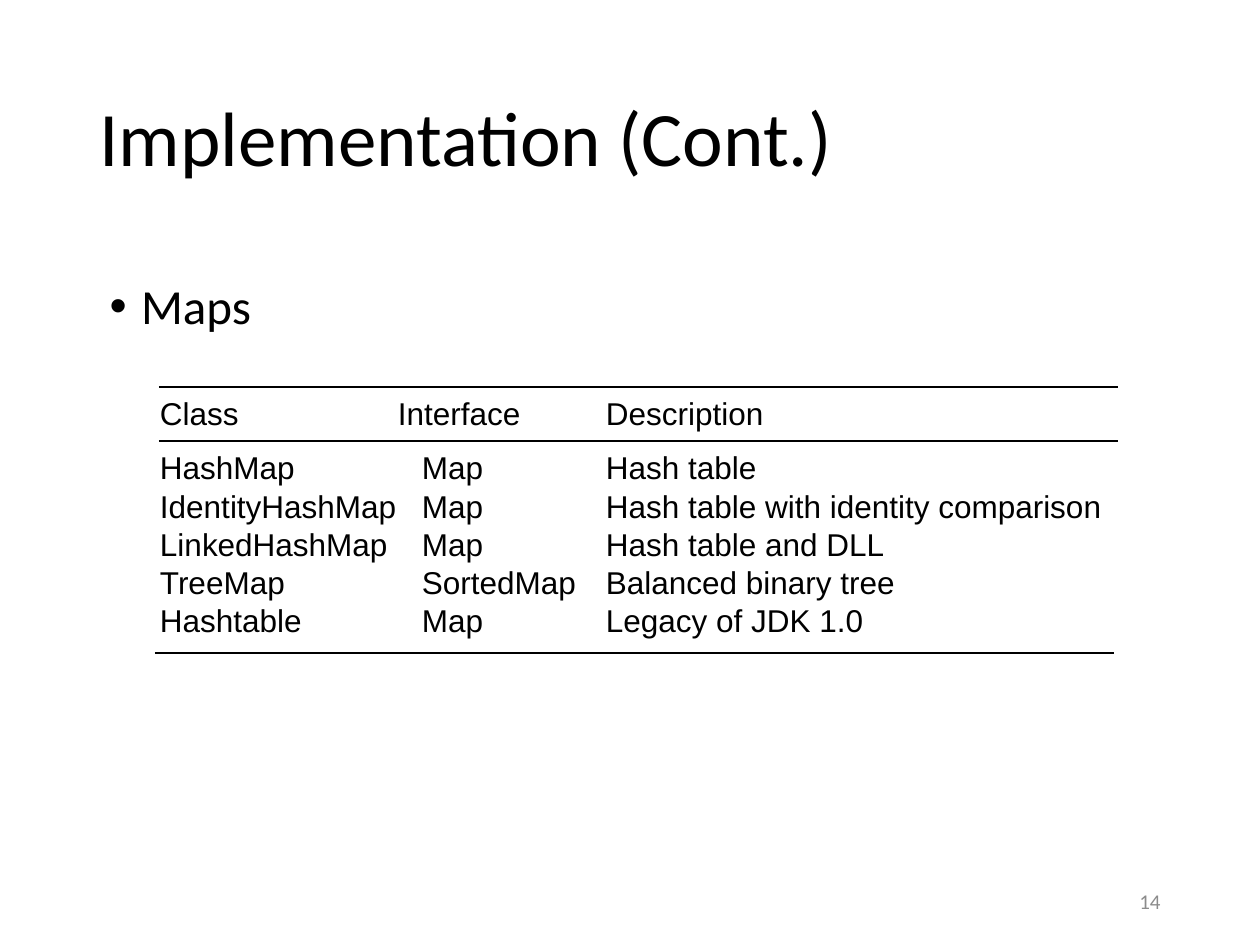
from dataclasses import dataclass
from lxml.etree import SubElement
from pptx import Presentation
from pptx.dml.color import RGBColor
from pptx.enum.shapes import MSO_CONNECTOR
from pptx.enum.text import MSO_ANCHOR, PP_ALIGN
from pptx.oxml.ns import qn
from pptx.util import Pt

PX = 914400 // 126
PLAIN = "{2D5ABB26-0587-4C30-8999-92F81FD0307C}"


@dataclass(frozen=True)
class Theme:
    ink: str = "000000"
    gray: str = "8C8C8C"
    text: str = "Calibri"
    grid: str = "Arial"
    title: int = 44
    body: int = 28
    cell: int = 18
    foot: int = 12
    rule: float = 0.75


THEME = Theme()
ROWS = [
    ("Class", "Interface", "Description"),
    ("HashMap", "Map", "Hash table"),
    ("IdentityHashMap", "Map", "Hash table with identity comparison"),
    ("LinkedHashMap", "Map", "Hash table and DLL"),
    ("TreeMap", "SortedMap", "Balanced binary tree"),
    ("Hashtable", "Map", "Legacy of JDK 1.0"),
]


def scale(box):
    return [n * PX for n in box]


def place(shape, box):
    shape.left, shape.top, shape.width, shape.height = scale(box)


def style(para, size, name=THEME.text, color=THEME.ink):
    para.font.size = Pt(size)
    para.font.name = name
    para.font.color.rgb = RGBColor.from_string(color)


def add_title(slide, box, text):
    shape = slide.shapes.title
    place(shape, box)
    shape.text = text
    shape.text_frame.vertical_anchor = MSO_ANCHOR.MIDDLE
    para = shape.text_frame.paragraphs[0]
    para.alignment = PP_ALIGN.LEFT
    para.line_spacing = 0.9
    style(para, THEME.title)


def add_list(slide, box, text):
    shape = slide.placeholders[1]
    place(shape, box)
    shape.text = text
    para = shape.text_frame.paragraphs[0]
    para.line_spacing = 0.9
    para.space_before = Pt(10)
    style(para, THEME.body)
    props = para._p.get_or_add_pPr()
    props.set("marL", "228600")
    props.set("indent", "-228600")


def add_rule(slide, left, top, wide):
    ends = scale((left, top, left + wide, top))
    line = slide.shapes.add_connector(MSO_CONNECTOR.STRAIGHT, *ends)
    line.line.color.rgb = RGBColor.from_string(THEME.ink)
    line.line.width = Pt(THEME.rule)
    SubElement(line._element.spPr, qn("a:effectLst"))


def fill_cell(cell, text, inset, drop):
    cell.text = text
    cell.fill.background()
    cell.margin_left = inset * PX
    cell.margin_top = drop * PX
    cell.margin_right = cell.margin_bottom = 0
    cell.vertical_anchor = MSO_ANCHOR.TOP
    style(cell.text_frame.paragraphs[0], THEME.cell, THEME.grid)


def add_grid(slide, box, rows):
    left, top, wide, high = box
    table = slide.shapes.add_table(len(rows), 3, *scale(box)).table
    table.first_row = table.horz_banding = False
    table._tbl.tblPr.find(qn("a:tableStyleId")).text = PLAIN
    first, second, head = 239, 202, 54
    for col, size in zip(table.columns, (first, second, wide - first - second)):
        col.width = size * PX
    for row, size in zip(table.rows, (head, 48, 38, 38, 38, 50)):
        row.height = size * PX
    drops = (10, 10, 1, 1, 1, 1)
    for r, row in enumerate(rows):
        insets = (1, 24 if r else 0, 6)
        for c, text in enumerate(row):
            fill_cell(table.cell(r, c), text, insets[c], drops[r])
    add_rule(slide, left, top + head, wide)
    add_rule(slide, left, top, wide)
    add_rule(slide, left - 4, top + high, wide)


def add_number(slide, box, text):
    frame = slide.shapes.add_textbox(*scale(box)).text_frame
    frame.word_wrap = True
    frame.vertical_anchor = MSO_ANCHOR.MIDDLE
    para = frame.paragraphs[0]
    para.text = text
    para.alignment = PP_ALIGN.RIGHT
    style(para, THEME.foot, color=THEME.gray)


def main():
    deck = Presentation()
    deck.slide_width, deck.slide_height = scale((1260, 945))
    slide = deck.slides.add_slide(deck.slide_layouts[1])
    add_title(slide, (87, 50, 1086, 183), "Implementation (Cont.)")
    add_list(slide, (97, 276, 1092, 69), "Maps")
    add_grid(slide, (159, 387, 959, 266), ROWS)
    add_number(slide, (890, 876, 283, 50), "14")
    deck.save("out.pptx")


if __name__ == "__main__":
    main()
